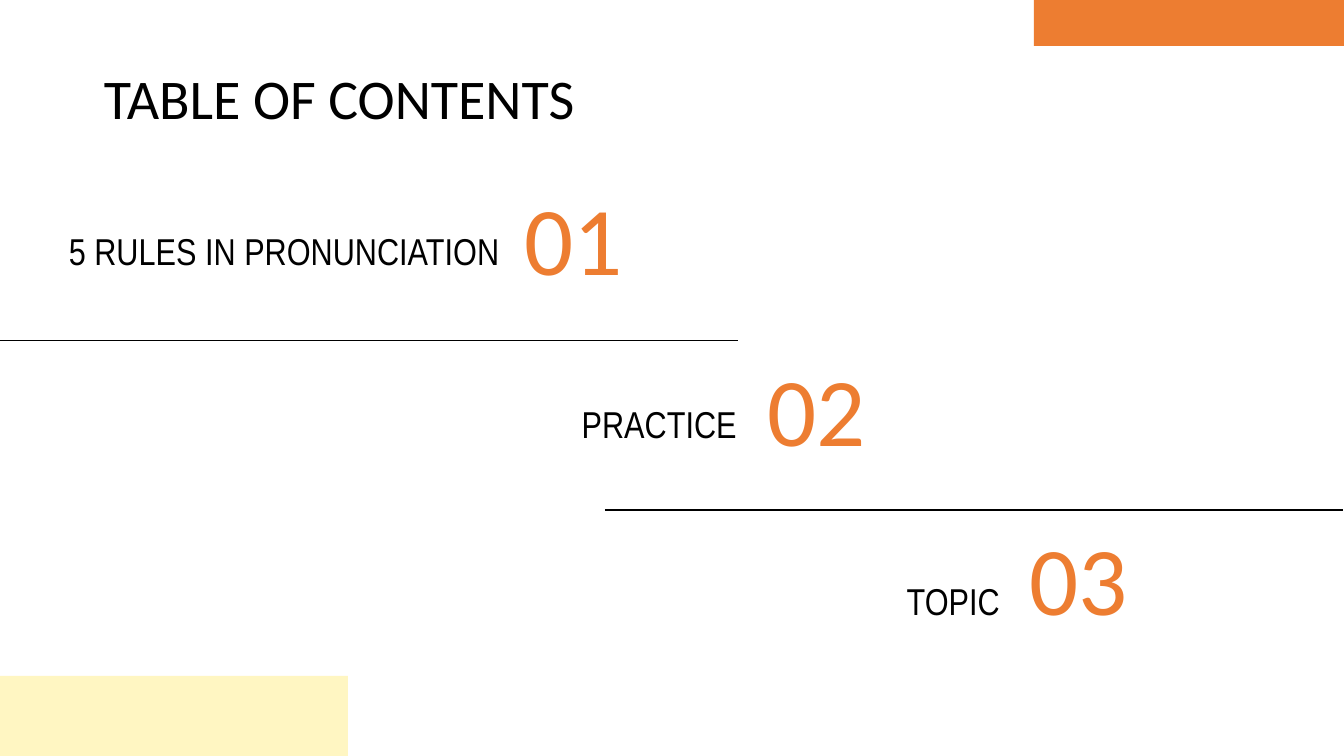
import lxml.etree
import pptx
import pptx.dml.color
import pptx.enum.shapes
import pptx.enum.text
import pptx.oxml.ns
import pptx.util

COLOURS = {"orange": "ED7D31", "yellow": "FFF4AC", "black": "000000"}
ALIGN = pptx.enum.text.PP_ALIGN
ANCHOR = pptx.enum.text.MSO_ANCHOR
EMU_PER_PX = 914400 / 100.8

TITLE = {"size": 40, "font": "Calibri", "colour": "black", "align": ALIGN.LEFT,
         "anchor": ANCHOR.TOP, "spacing": 0.9}
NUMBER = {"size": 69.3, "font": "Calibri", "colour": "orange", "align": ALIGN.CENTER,
          "anchor": ANCHOR.MIDDLE, "spacing": 0.9}
TOPIC = {"size": 26.7, "font": "Arial Narrow", "colour": "black", "align": ALIGN.RIGHT,
         "anchor": ANCHOR.MIDDLE, "spacing": 1.0}


def px(length):
    return pptx.util.Emu(round(length * EMU_PER_PX))


def rgb(name):
    return pptx.dml.color.RGBColor.from_string(COLOURS[name])


class ContentsSlide:
    """Draws the elements of a contents slide in one shared style."""

    inset = 13

    def __init__(self, deck):
        self.page = deck.slides.add_slide(deck.slide_layouts[6])

    def block(self, area, colour, opacity=100):
        box = self.page.shapes.add_shape(
            pptx.enum.shapes.MSO_SHAPE.RECTANGLE, *map(px, area))
        box.shadow.inherit = False
        box.line.fill.background()
        box.fill.solid()
        box.fill.fore_color.rgb = rgb(colour)
        if opacity < 100:
            tint = box.fill._xPr.find(".//" + pptx.oxml.ns.qn("a:srgbClr"))
            alpha = lxml.etree.SubElement(tint, pptx.oxml.ns.qn("a:alpha"))
            alpha.set("val", str(opacity * 1000))

    def text(self, area, words, style):
        frame = self.page.shapes.add_textbox(*map(px, area)).text_frame
        margins = {f"margin_{side}": px(self.inset)
                   for side in ("left", "top", "right", "bottom")}
        para = frame.paragraphs[0]
        span = para.add_run()
        formats = (
            (frame, {"word_wrap": True, "vertical_anchor": style["anchor"], **margins}),
            (para, {"alignment": style["align"], "line_spacing": style["spacing"]}),
            (span, {"text": words}),
            (span.font, {"name": style["font"], "size": pptx.util.Pt(style["size"])}),
        )
        for target, values in formats:
            for name, value in values.items():
                setattr(target, name, value)
        span.font.color.rgb = rgb(style["colour"])

    def rule(self, left, right, y):
        line = self.page.shapes.add_connector(
            pptx.enum.shapes.MSO_CONNECTOR.STRAIGHT, px(left), px(y), px(right), px(y))
        line.line.color.rgb = rgb("black")
        line.line.width = pptx.util.Pt(0.75)
        lxml.etree.SubElement(line._element.spPr, pptx.oxml.ns.qn("a:effectLst"))


def main():
    deck = pptx.Presentation()
    deck.slide_width, deck.slide_height = px(1344), px(756)
    contents = ContentsSlide(deck)

    contents.block((0, 676, 348, 80), "yellow", opacity=73)
    contents.block((1034, 0, 310, 46), "orange")
    contents.text((91, 58, 631, 93), "TABLE OF CONTENTS", TITLE)

    entries = (
        ("5 RULES IN PRONUNCIATION", (45, 209, 468, 84), (504, 202, 140, 85)),
        ("PRACTICE", (413, 390, 337, 68), (747, 373, 140, 85)),
        ("TOPIC", (551, 559, 462, 84), (1013, 542, 131, 85)),
    )
    for number, (topic, topic_area, number_area) in enumerate(entries, 1):
        contents.text(topic_area, topic, TOPIC)
        contents.text(number_area, f"{number:02}", NUMBER)

    for left, y in ((0, 341), (605, 510)):
        contents.rule(left, left + 738, y)

    deck.save("out.pptx")


if __name__ == "__main__":
    main()
